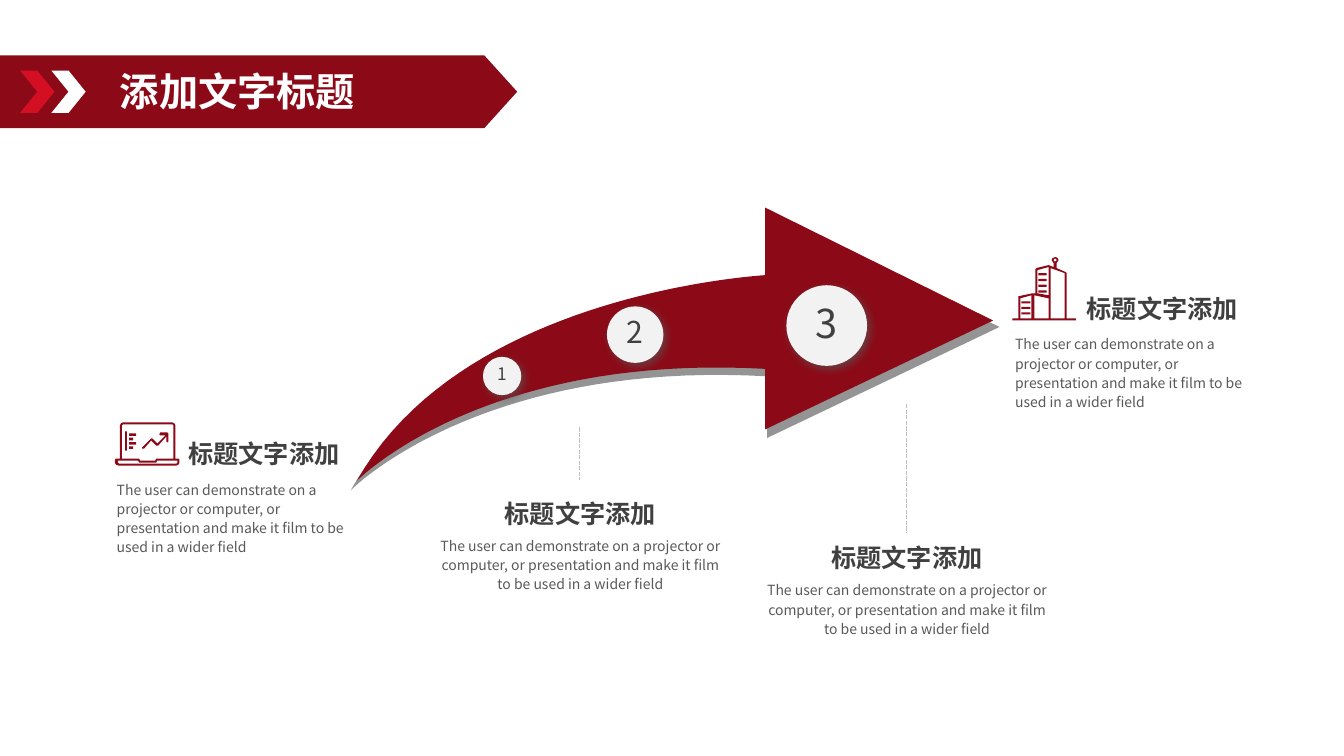
import pptx
import pptx.util
import pptx.dml.color
import pptx.enum.dml
import pptx.enum.shapes
import pptx.enum.text
import pptx.oxml
import pptx.oxml.ns

Inches = pptx.util.Inches
Pt = pptx.util.Pt
RGB = pptx.dml.color.RGBColor
SHAPE = pptx.enum.shapes.MSO_SHAPE
ALIGN = pptx.enum.text.PP_ALIGN
ANCHOR = pptx.enum.text.MSO_ANCHOR

CRIMSON = RGB(0x8C, 0x0A, 0x17)
RED = RGB(0xD4, 0x0F, 0x23)
WHITE = RGB(0xFF, 0xFF, 0xFF)
PALE = RGB(0xF2, 0xF2, 0xF2)
RULE = RGB(0xBF, 0xBF, 0xBF)
DARK = RGB(0x40, 0x40, 0x40)
BODY = RGB(0x59, 0x59, 0x59)
FONT = "Noto Sans CJK SC"

TITLE = "添加文字标题"
HEADING = "标题文字添加"
DETAIL = ("The user can demonstrate on a projector or computer, or presentation "
          "and make it film to be used in a wider field")

BANNER = [
    (SHAPE.PENTAGON, 0, 0.55, 5.13, 0.72, 0.452, CRIMSON),
    (SHAPE.CHEVRON, 0.2, 0.7, 0.34, 0.42, 0.5, RED),
    (SHAPE.CHEVRON, 0.51, 0.7, 0.34, 0.42, 0.5, WHITE),
]
DASHES = [(5.75, 4.24, 4.76), (8.99, 4.01, 5.28)]
STEPS = [("1", 4.79, 3.54, 0.38, 12.3, 0.8),
         ("2", 6.02, 3.04, 0.56, 21.5, 0.8),
         ("3", 7.8, 2.83, 0.8, 28.4, 0.9)]
ARROW_TOP = [(7.59, 2.73), (7.3, 2.75), (4.54, 2.98), (3.54, 4.77)]
ARROW_BOTTOM = [(3.54, 4.77), (3.54, 4.77), (4.78, 3.5), (7.59, 3.66)]


def bar(left, top, right, bottom):
    return [(left, top), (right, top), (right, bottom), (left, bottom)]


def ring(x, y, radius):
    d = radius * 0.7
    return [(x, y - radius), (x + d, y - d), (x + radius, y), (x + d, y + d),
            (x, y + radius), (x - d, y + d), (x - radius, y), (x - d, y - d)]


LAPTOP = [
    [(1.22, 4.19), (1.71, 4.19), (1.73, 4.2), (1.74, 4.22), (1.74, 4.55), (1.77, 4.55),
     (1.78, 4.56), (1.78, 4.59), (1.77, 4.61), (1.75, 4.62), (1.18, 4.62), (1.15, 4.61),
     (1.14, 4.59), (1.14, 4.56), (1.15, 4.55), (1.19, 4.55), (1.19, 4.22), (1.2, 4.2)],
    [(1.22, 4.21), (1.71, 4.21), (1.72, 4.22), (1.72, 4.55), (1.55, 4.55), (1.54, 4.57),
     (1.39, 4.57), (1.38, 4.55), (1.21, 4.55), (1.21, 4.22)],
    [(1.17, 4.57), (1.37, 4.57), (1.38, 4.59), (1.55, 4.59), (1.56, 4.57), (1.76, 4.57),
     (1.76, 4.59), (1.75, 4.6), (1.18, 4.6), (1.17, 4.59)],
    [(1.59, 4.29), (1.66, 4.29), (1.67, 4.3), (1.67, 4.38), (1.66, 4.39), (1.65, 4.38),
     (1.65, 4.33), (1.57, 4.42), (1.55, 4.42), (1.5, 4.37), (1.43, 4.45), (1.41, 4.45),
     (1.41, 4.44), (1.5, 4.35), (1.51, 4.35), (1.56, 4.4), (1.64, 4.32), (1.59, 4.32),
     (1.58, 4.31)],
    bar(1.24, 4.28, 1.26, 4.47),
] + [bar(1.28, 4.3 + i * 0.043, 1.35 - i % 2 * 0.03, 4.325 + i * 0.043) for i in range(4)]

TOWERS = [
    [(10.48, 2.61), (10.48, 2.66), (10.57, 2.7), (10.58, 2.71), (10.58, 3.16),
     (10.67, 3.16), (10.67, 3.18), (10.04, 3.18), (10.04, 3.16), (10.1, 3.16),
     (10.1, 2.94), (10.24, 2.91), (10.27, 2.91), (10.27, 2.67), (10.28, 2.66),
     (10.4, 2.63), (10.45, 2.65), (10.45, 2.61), (10.43, 2.58), (10.44, 2.56),
     (10.47, 2.55), (10.49, 2.56), (10.5, 2.58)],
    ring(10.465, 2.58, 0.015),
    [(10.26, 2.93), (10.26, 3.16), (10.4, 3.16), (10.4, 2.96)],
    [(10.23, 2.93), (10.12, 2.96), (10.12, 3.16), (10.23, 3.16)],
    [(10.42, 2.66), (10.42, 3.16), (10.56, 3.16), (10.56, 2.71)],
    [(10.4, 2.65), (10.29, 2.68), (10.29, 2.91), (10.4, 2.93)],
]
TOWERS += [bar(10.13, 2.99 + i * 0.055, 10.22, 3.01 + i * 0.055) for i in range(3)]
TOWERS += [bar(10.3, 2.71 + i * 0.057, 10.38, 2.733 + i * 0.057) for i in range(4)]

TOPICS = [
    (LAPTOP, (1.77, 4.3), (1.06, 4.7, 2.57, 0.87), ALIGN.LEFT),
    (TOWERS, (10.68, 2.86), (9.97, 3.26, 2.57, 0.87), ALIGN.LEFT),
    (None, (4.59, 4.89), (4.2, 5.26, 3.11, 0.68), ALIGN.CENTER),
    (None, (7.83, 5.33), (7.44, 5.7, 3.11, 0.68), ALIGN.CENTER),
]


def curve(points, steps=40):
    a, b, c, d = points
    for i in range(steps + 1):
        t = i / steps
        u = 1 - t
        yield tuple(u**3 * a[k] + 3 * u * u * t * b[k] + 3 * u * t * t * c[k] + t**3 * d[k]
                    for k in (0, 1))


def paint(sp, color):
    sp.shadow.inherit = False
    sp.fill.solid()
    sp.fill.fore_color.rgb = color
    sp.line.fill.background()


def outline(shapes, contours):
    scaled = [[(Inches(x), Inches(y)) for x, y in c] for c in contours]
    builder = shapes.build_freeform(*scaled[0][0])
    for i, points in enumerate(scaled):
        if i:
            builder.move_to(*points[0])
        builder.add_line_segments(points[1:], close=True)
    sp = builder.convert_to_shape()
    paint(sp, CRIMSON)
    return sp


def cast_shadow(sp, color, alpha, blur, angle, scale, corner):
    effects = sp._element.spPr.find(pptx.oxml.ns.qn("a:effectLst"))
    effects.append(pptx.oxml.parse_xml(
        f'<a:outerShdw {pptx.oxml.ns.nsdecls("a")} blurRad="{Pt(blur)}" dist="{Pt(3)}" '
        f'dir="{angle * 60000}" sx="{scale * 1000}" sy="{scale * 1000}" algn="{corner}" '
        f'rotWithShape="0"><a:srgbClr val="{color}"><a:alpha val="{alpha * 1000}"/>'
        f'</a:srgbClr></a:outerShdw>'))


def write(sp, text, size, color, bold=False, align=ALIGN.LEFT, spacing=None,
          anchor=ANCHOR.MIDDLE, wrap=True):
    tf = sp.text_frame
    tf.text = text
    tf.word_wrap = wrap
    tf.auto_size = pptx.enum.text.MSO_AUTO_SIZE.NONE
    tf.vertical_anchor = anchor
    p = tf.paragraphs[0]
    p.alignment = align
    if spacing:
        p.line_spacing = spacing
    r = p.runs[0]
    r.font.size = Pt(size)
    r.font.bold = bold
    r.font.color.rgb = color
    r.font.name = FONT
    r._r.get_or_add_rPr().append(pptx.oxml.parse_xml(
        f'<a:ea {pptx.oxml.ns.nsdecls("a")} typeface="{FONT}"/>'))


def main():
    prs = pptx.Presentation()
    prs.slide_width, prs.slide_height = Inches(13.33), Inches(7.5)
    s = prs.slides.add_slide(prs.slide_layouts[5])

    for kind, x, y, w, h, adj, color in BANNER:
        sp = s.shapes.add_shape(kind, Inches(x), Inches(y), Inches(w), Inches(h))
        sp.adjustments[0] = adj
        paint(sp, color)

    title = s.shapes.title
    sp._element.addnext(title._element)
    title.left, title.top, title.width, title.height = map(Inches, (1.09, 0.62, 4.59, 0.57))
    write(title, TITLE, 28, WHITE, bold=True)

    for x, top, bottom in DASHES:
        line = s.shapes.add_connector(pptx.enum.shapes.MSO_CONNECTOR.STRAIGHT,
                                      Inches(x), Inches(top), Inches(x), Inches(bottom))
        line.line.color.rgb = RULE
        line.line.width = Pt(1)
        line.line.dash_style = pptx.enum.dml.MSO_LINE.SQUARE_DOT
        line._element.spPr.append(pptx.oxml.parse_xml(
            f'<a:effectLst {pptx.oxml.ns.nsdecls("a")}/>'))

    arrow = outline(s.shapes, [[(9.85, 3.18), (7.59, 2.06), *curve(ARROW_TOP),
                                *curve(ARROW_BOTTOM), (7.59, 4.26)]])
    cast_shadow(arrow, "808080", 84, 0, 90, 102, "t")

    for number, x, y, d, size, spacing in STEPS:
        sp = s.shapes.add_shape(SHAPE.ROUNDED_RECTANGLE, Inches(x), Inches(y),
                                Inches(d), Inches(d))
        sp.adjustments[0] = 0.5
        paint(sp, PALE)
        cast_shadow(sp, "595959", 64, 6, 45, 100, "tl")
        write(sp, number, size, DARK, align=ALIGN.CENTER, spacing=spacing, wrap=False)

    for icon, (x, y), detail_box, align in TOPICS:
        group = s.shapes.add_group_shape()
        if icon:
            outline(group.shapes, icon)
        heading = group.shapes.add_textbox(Inches(x), Inches(y), Inches(2.33), Inches(0.4))
        write(heading, HEADING, 18, DARK, bold=True, align=align)
        detail = group.shapes.add_textbox(*map(Inches, detail_box))
        write(detail, DETAIL, 10, BODY, align=align, spacing=1.14, anchor=ANCHOR.TOP)

    prs.save("out.pptx")


if __name__ == "__main__":
    main()
